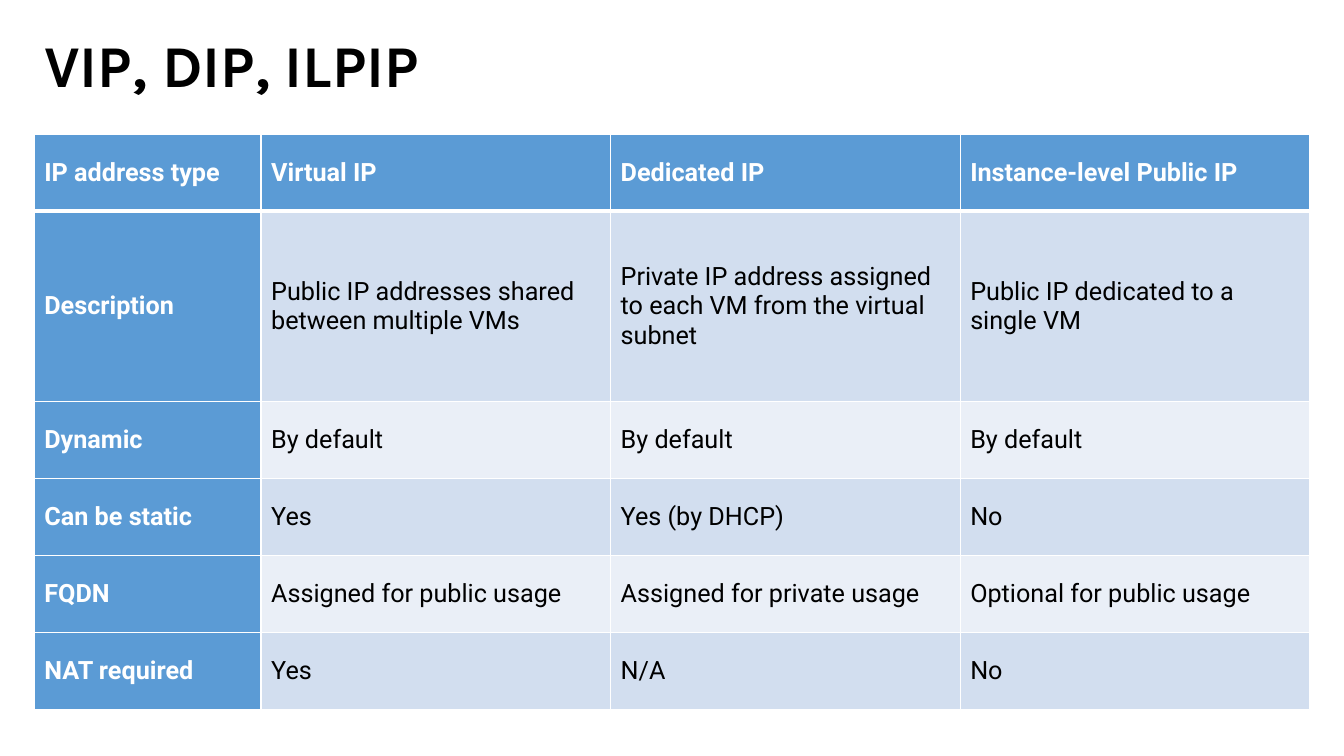
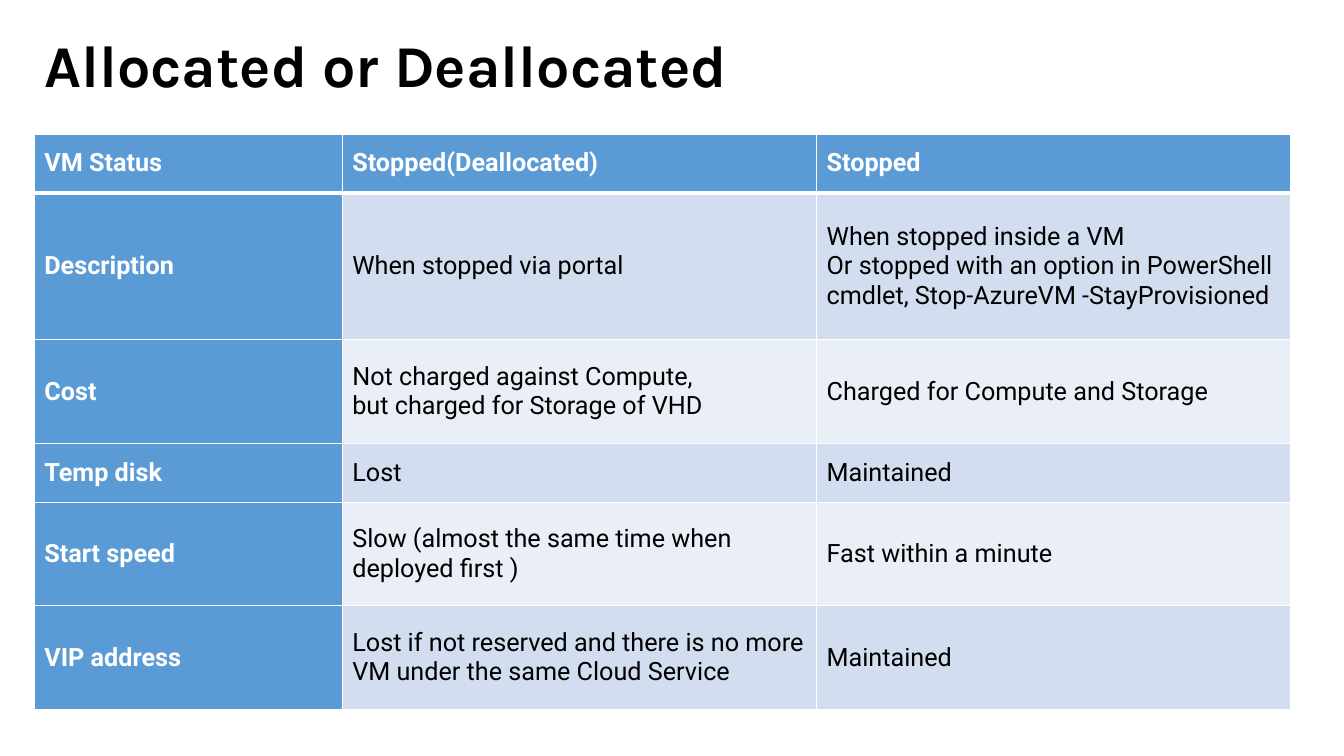
"""Build two slides comparing IP address types and stopped VM states."""
from pptx import Presentation
from pptx.dml.color import RGBColor
from pptx.enum.text import MSO_ANCHOR as Anchor
from pptx.oxml import parse_xml
from pptx.oxml.ns import nsdecls
from pptx.util import Pt

COLORS = {
    "text": "000000",
    "reverse": "FFFFFF",
    "heading": "5B9BD5",
    "band_dark": "D2DEEF",
    "band_light": "EAEFF7",
}
LEFT, TITLE_TOP, TABLE_TOP = 24.5, 28.8, 95.75
TITLE_WIDTH, TITLE_HEIGHT = 911, 33

TABLES = [
    {
        "title": "VIP, DIP, ILPIP",
        "widths": [162, 249.7, 249.7, 249.7],
        "heights": [55, 136, 55, 55, 55, 55],
        "rows": [
            ["IP address type", "Virtual IP", "Dedicated IP", "Instance-level Public IP"],
            ["Description", "Public IP addresses shared between multiple VMs",
             "Private IP address assigned to each VM from the virtual subnet",
             "Public IP dedicated to a single VM"],
            ["Dynamic", "By default", "By default", "By default"],
            ["Can be static", "Yes", "Yes (by DHCP)", "No"],
            ["FQDN", "Assigned for public usage", "Assigned for private usage",
             "Optional for public usage"],
            ["NAT required", "Yes", "N/A", "No"],
        ],
    },
    {
        "title": "Allocated or Deallocated",
        "widths": [220, 338.8, 338.8],
        "heights": [42, 105, 74, 42, 74, 74],
        "rows": [
            ["VM Status", "Stopped(Deallocated)", "Stopped"],
            ["Description", "When stopped via portal",
             "When stopped inside a VM\n"
             "Or stopped with an option in PowerShell cmdlet, Stop-AzureVM -StayProvisioned"],
            ["Cost", "Not charged against Compute, \vbut charged for Storage of VHD",
             "Charged for Compute and Storage"],
            ["Temp disk", "Lost", "Maintained"],
            ["Start speed", "Slow (almost the same time when deployed first )",
             "Fast within a minute"],
            ["VIP address",
             "Lost if not reserved and there is no more VM under the same Cloud Service",
             "Maintained"],
        ],
    },
]


def write_text(frame, text, font="Roboto", size=18, color="text", bold=False):
    frame.text = text
    frame.word_wrap = True
    for paragraph in frame.paragraphs:
        for run in paragraph.runs:
            run.font.name = font
            run.font.size = Pt(size)
            run.font.bold = bold
            run.font.color.rgb = RGBColor.from_string(COLORS[color])


def add_borders(cell, top=1, bottom=1):
    properties = cell._tc.get_or_add_tcPr()
    for side, width in {"L": 1, "R": 1, "T": top, "B": bottom}.items():
        properties.append(parse_xml(
            f'<a:ln{side} {nsdecls("a")} w="{Pt(width)}"><a:solidFill>'
            f'<a:srgbClr val="{COLORS["reverse"]}"/></a:solidFill></a:ln{side}>'))


presentation = Presentation()
presentation.slide_width = Pt(960)
presentation.slide_height = Pt(540)

for content in TABLES:
    slide = presentation.slides.add_slide(presentation.slide_layouts[6])
    title = slide.shapes.add_textbox(Pt(LEFT), Pt(TITLE_TOP), Pt(TITLE_WIDTH), Pt(TITLE_HEIGHT))
    title.text_frame.vertical_anchor = Anchor.MIDDLE
    write_text(title.text_frame, content["title"], font="Karla", size=42.3, bold=True)

    widths, heights, rows = content["widths"], content["heights"], content["rows"]
    table = slide.shapes.add_table(len(rows), len(widths), Pt(LEFT), Pt(TABLE_TOP),
                                   Pt(sum(widths)), Pt(sum(heights))).table
    table.first_col = True
    for column, width in zip(table.columns, widths):
        column.width = Pt(width)
    for row_index, (row, height) in enumerate(zip(table.rows, heights)):
        row.height = Pt(height)
        band = "band_dark" if row_index % 2 else "band_light"
        for column_index, cell in enumerate(row.cells):
            heading = row_index == 0 or column_index == 0
            add_borders(cell, top=3 if row_index == 1 else 1, bottom=3 if row_index == 0 else 1)
            cell.fill.solid()
            cell.fill.fore_color.rgb = RGBColor.from_string(COLORS["heading" if heading else band])
            cell.vertical_anchor = Anchor.MIDDLE
            write_text(cell.text_frame, rows[row_index][column_index],
                       color="reverse" if heading else "text", bold=heading)

presentation.save("out.pptx")
